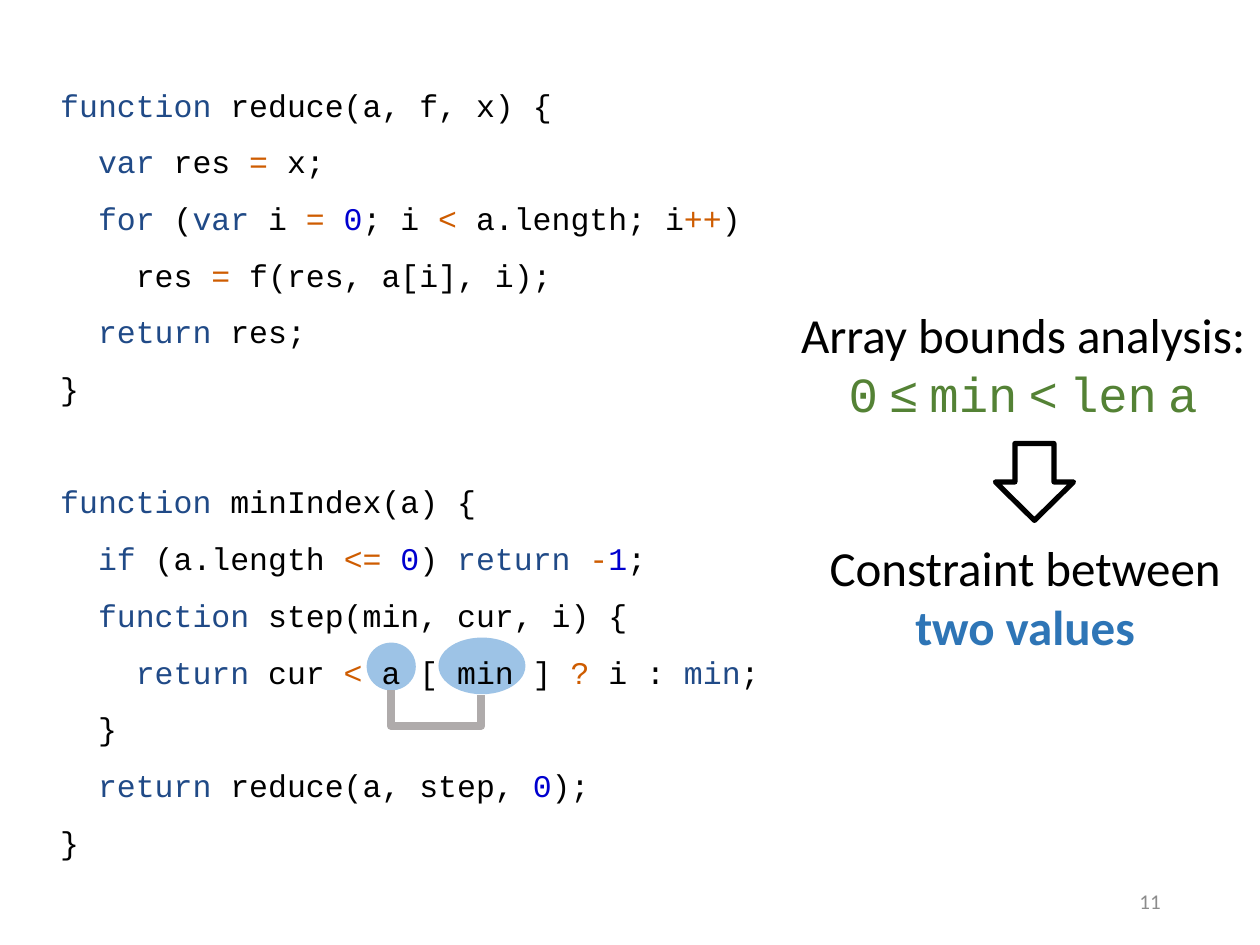
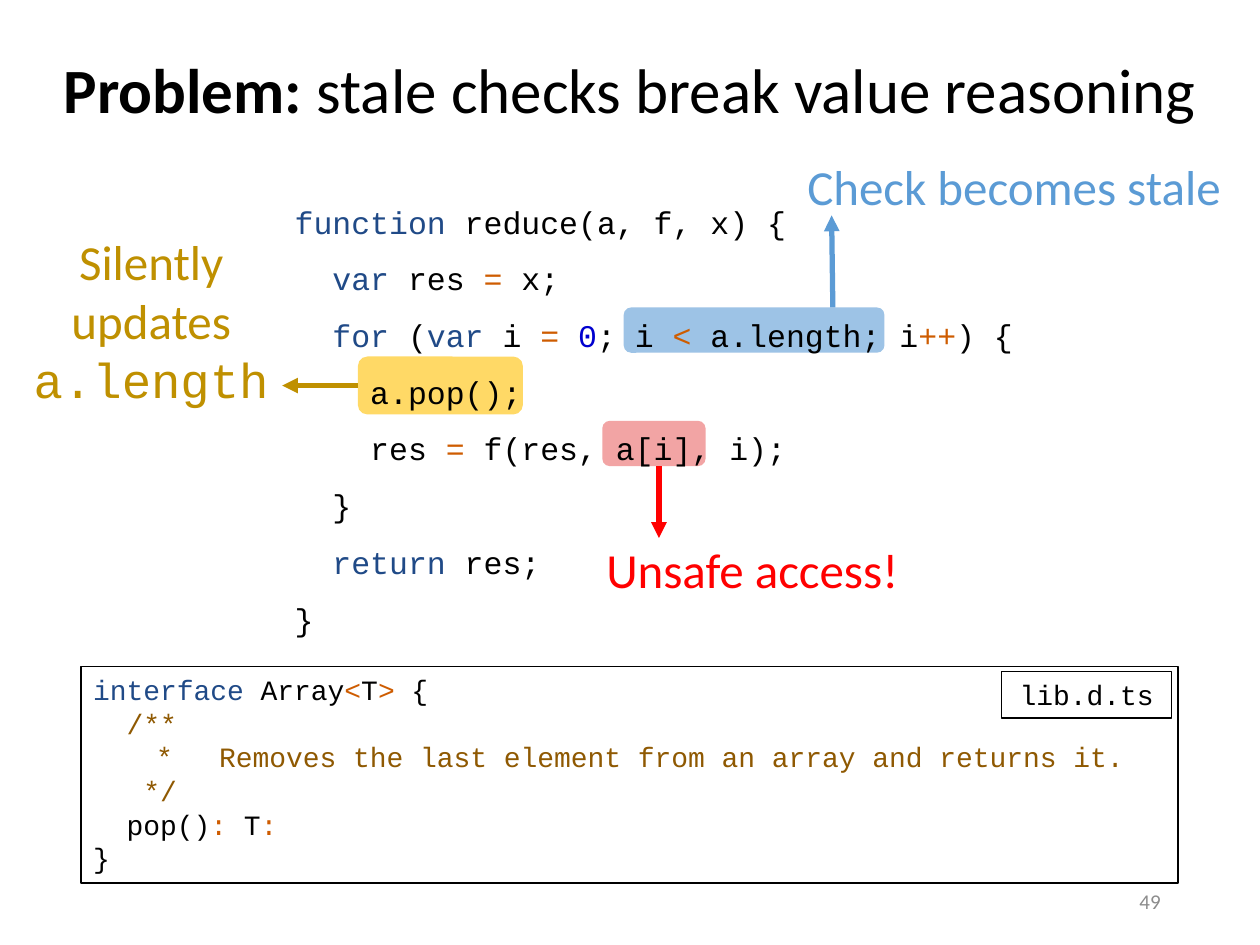
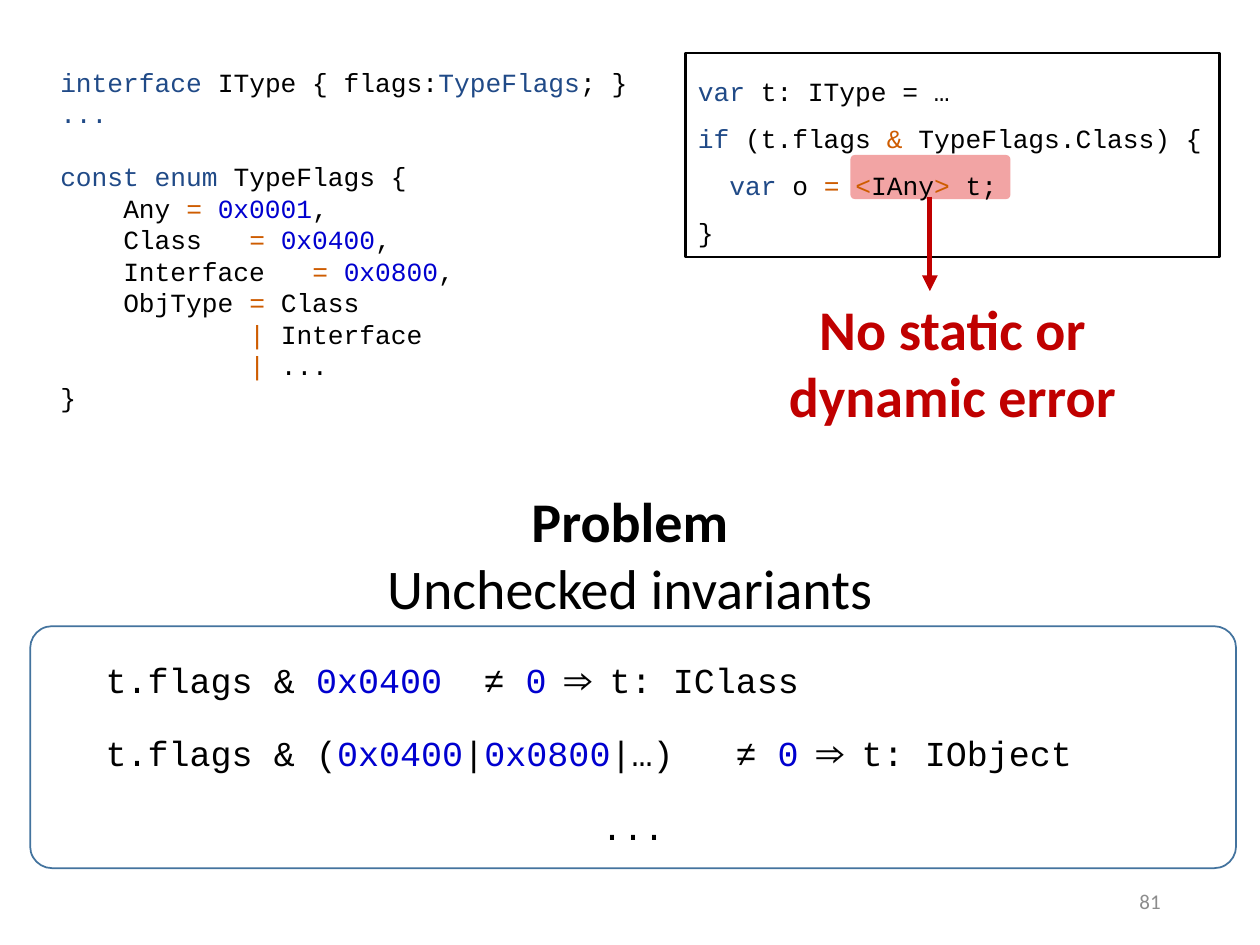
from pptx import Presentation
from pptx.dml.color import RGBColor as RGB
from pptx.enum.shapes import MSO_CONNECTOR as LINK, MSO_SHAPE as SHAPE
from pptx.enum.text import MSO_ANCHOR as ANCHOR, PP_ALIGN as ALIGN
from pptx.oxml.ns import qn
from pptx.util import Inches, Pt
from lxml.etree import SubElement as sub

SANS, MONO = "Calibri", "Courier New"
BLACK = RGB(0x00, 0x00, 0x00)
GRAY = RGB(0x8C, 0x8C, 0x8C)
SILVER = RGB(0xAF, 0xAB, 0xAB)
SKY = RGB(0x9D, 0xC3, 0xE6)
BLUE = RGB(0x5B, 0x9B, 0xD5)
DEEP = RGB(0x2E, 0x75, 0xB6)
STEEL = RGB(0x43, 0x73, 0x9E)
GREEN = RGB(0x54, 0x82, 0x35)
YELLOW = RGB(0xFF, 0xD9, 0x66)
GOLD = RGB(0xBF, 0x90, 0x00)
PINK = RGB(0xF2, 0xA4, 0xA4)
RED = RGB(0xFF, 0x00, 0x00)
DARK = RGB(0xC0, 0x00, 0x00)
INK = {
    "k": RGB(0x20, 0x4A, 0x87),
    "o": RGB(0xCE, 0x5C, 0x00),
    "n": RGB(0x00, 0x00, 0xCF),
    "c": RGB(0x8F, 0x59, 0x02),
}

LOOP = "~k:for~ (~k:var ~i ~o:= ~~n:0~; i ~o:< ~a.length; i~o:++~)"
HEAD = [(0, "~k:function~ reduce(a, f, x) {"), (2, "~k:var~ res ~o:=~ x;")]
CALL = (4, "res ~o:=~ f(res, a[i], i);")
TAIL = [(2, "~k:return~ res;"), (0, "}")]
REDUCE = [*HEAD, (2, LOOP), CALL, *TAIL]
STALE = [*HEAD, (2, LOOP + " {"), (4, "a.pop();"), CALL, (2, "}"), *TAIL]
INDEX = [
    (0, "~k:function ~minIndex(a) {"),
    (2, "~k:if~ (a.length ~o:<= ~~n:0~) ~k:return ~~o:-~~n:1~;"),
    (2, "~k:function~ step(min, cur, i) {"),
    (4, "~k:return~ cur ~o:<~ a [ min ] ~o:? ~i : ~k:min~;"),
    (2, "}"),
    (2, "~k:return~ reduce(a, step, ~n:0~);"),
    (0, "}"),
]
ARRAY = [
    (0, "~k:interface ~Array~o:<~T~o:>~ {"),
    (2, "~c:/**~"),
    (0, "~c:\t*\tRemoves the last element from an array and returns it.~"),
    (3, "~c:*/~"),
    (2, "pop()~o::~ T~o::~"),
    (0, "}"),
]
ITYPE = [(0, "~k:interface ~IType { flags:~k:TypeFlags~; }"), (0, "~k:...~")]
FLAGS = [
    (0, "~k:const enum ~TypeFlags {"),
    *[(0, f"\t{name}\t~o:= ~~n:{value}~,") for name, value in
      [("Any", "0x0001"), ("Class", "0x0400"), ("Interface", "0x0800")]],
    (0, "\tObjType\t~o:=~ Class"),
    (12, "~o:|~ Interface"),
    (12, "~o:|~ ..."),
    (0, "}"),
]
CAST = [
    (0, "~k:var ~t: IType = …"),
    (0, "~k:if ~(t.flags ~o:& ~TypeFlags.Class) {"),
    (2, "~k:var ~o ~o:= <~IAny~o:> ~t;"),
    (0, "}"),
]
RULES = [
    "\tt.flags & ~n:0x0400~\t≠ ~n:0 ~⇒ t: IClass",
    "\tt.flags & (~n:0x0400~|~n:0x0800~|…)\t≠ ~n:0 ~⇒ t: IObject",
    "...",
]


def area(box):
    """Turn a box in inches into lengths."""
    return [Inches(n) for n in box]


def text_box(slide, box, wrap=True):
    """Add an empty text box."""
    shape = slide.shapes.add_textbox(*area(box))
    shape.text_frame.word_wrap = wrap
    return shape


def panel(slide, box, kind=SHAPE.RECTANGLE, fill=None, line=None, width=1, adj=None):
    """Add a flat preset shape."""
    shape = slide.shapes.add_shape(kind, *area(box))
    shape.shadow.inherit = False
    if fill is None:
        shape.fill.background()
    else:
        shape.fill.solid()
        shape.fill.fore_color.rgb = fill
    if line is None:
        shape.line.fill.background()
    else:
        shape.line.color.rgb = line
        shape.line.width = Pt(width)
    if adj is not None:
        shape.adjustments[0] = adj
    shape.text_frame.word_wrap = True
    shape.text_frame.vertical_anchor = ANCHOR.TOP
    return shape


def add_run(para, text, size, color, font=SANS, bold=False):
    """Add one styled run."""
    run = para.add_run()
    run.text = text
    run.font.size = Pt(size)
    run.font.name = font
    run.font.bold = bold
    run.font.color.rgb = color


def next_para(frame, align=ALIGN.LEFT):
    """Give the first empty paragraph, or a new one."""
    para = frame.paragraphs[0]
    if para.runs:
        para = frame.add_paragraph()
    para.alignment = align
    return para


def label(slide, box, lines, size, color, align=ALIGN.CENTER, wrap=True):
    """Add plain lines, each a list of (text, options) runs."""
    frame = text_box(slide, box, wrap).text_frame
    for line in lines:
        para = next_para(frame, align)
        for text, look in line:
            add_run(para, text, size, **{"color": color, **look})
    return frame


def code(shape, lines, size, lead=1.0, stops=(), align=ALIGN.LEFT, gap=0):
    """Add code lines given as (indent, marked text)."""
    step = Pt(size * 0.6)
    for row, (depth, line) in enumerate(lines):
        para = next_para(shape.text_frame, align)
        para.line_spacing = lead
        if row == 0 and gap:
            para.space_before = Pt(gap)
        props = para._p.get_or_add_pPr()
        props.set("marL", str(depth * step))
        props.set("indent", "0")
        if "\t" in line:
            tabs = sub(props, qn("a:tabLst"))
            for col in stops:
                sub(tabs, qn("a:tab"), pos=str(col * step), algn="l")
        for n, part in enumerate(line.split("~")):
            key, text = part.split(":", 1) if n % 2 else ("", part)
            if text:
                add_run(para, text, size, INK.get(key, BLACK), MONO)


def link(slide, start, end, color, width=3, kind=LINK.STRAIGHT):
    """Add a flat connector."""
    line = slide.shapes.add_connector(kind, *area((*start, *end)))
    line.line.color.rgb = color
    line.line.width = Pt(width)
    sub(line._element.spPr, qn("a:effectLst"))
    return line


def arrow(slide, start, end, color):
    """Add a line with a triangle at its end."""
    line = link(slide, start, end, color)
    sub(line.line._get_or_add_ln(), qn("a:tailEnd"), type="triangle")


def bracket(slide, box, drop):
    """Add a bent line that dips below two marks."""
    left, top, wide, high = box
    x, y = left + (wide - high) / 2, top + (high - wide) / 2
    line = link(slide, (x, y), (x + high, y + wide), SILVER, 4.5, LINK.ELBOW)
    props = line._element.spPr
    frame = props.find(qn("a:xfrm"))
    frame.set("rot", "16200000")
    frame.set("flipH", "1")
    guides = props.find(qn("a:prstGeom")).get_or_add_avLst()
    sub(guides, qn("a:gd"), name="adj1", fmla=f"val {round(drop / high * 100000)}")


def footer(slide, number):
    """Add the slide number."""
    frame = label(slide, (7.06, 6.95, 2.25, 0.4), [[(number, {})]], 12, GRAY, ALIGN.RIGHT)
    frame.vertical_anchor = ANCHOR.MIDDLE


def bounds(slide):
    """Show the array bounds analysis."""
    panel(slide, (2.91, 5.1, 0.39, 0.38), SHAPE.OVAL, SKY)
    panel(slide, (3.48, 5.06, 0.69, 0.45), SHAPE.OVAL, SKY)
    bracket(slide, (3.1, 5.48, 0.72, 0.04), 0.28)
    shape = text_box(slide, (0.38, 0.48, 5.86, 6.46))
    code(shape, REDUCE, 18, 1.5)
    code(shape, INDEX, 18, 1.5, gap=32.4)
    goal = [("0", {"color": GREEN, "font": MONO})]
    for word in "≤ min < len a".split():
        goal += [(" ", {}), (word, {"color": GREEN, "font": MONO})]
    label(slide, (6.24, 2.37, 3.76, 1.04), [[("Array bounds analysis:", {})], goal], 28, BLACK)
    pair = [("Constraint between ", {}), ("two values", {"color": DEEP, "bold": True})]
    label(slide, (6.24, 4.22, 3.79, 1.04), [pair], 28, BLACK)
    panel(slide, (7.9, 3.52, 0.62, 0.61), SHAPE.DOWN_ARROW, line=BLACK, width=3)


def stale(slide):
    """Show how a stale check breaks reasoning."""
    for box, fill in [((4.78, 3.34, 0.82, 0.36), PINK), ((4.95, 2.44, 2.07, 0.36), SKY),
                      ((2.84, 2.83, 1.31, 0.46), YELLOW)]:
        panel(slide, box, SHAPE.ROUNDED_RECTANGLE, fill)
    title = [("Problem: ", {"bold": True}), ("stale checks break value reasoning", {})]
    label(slide, (0, 0.35, 10, 0.71), [title], 36, BLACK)
    notes = [[("Silently", {})], [("updates", {})], [("a.length", {"font": MONO})]]
    label(slide, (0.16, 1.79, 2.08, 1.51), notes, 28, GOLD, wrap=False)
    code(panel(slide, (0.64, 5.29, 8.71, 1.72), line=BLACK), ARRAY, 16, stops=(3, 6))
    tag = panel(slide, (7.95, 5.33, 1.35, 0.37), line=BLACK, width=0.75)
    code(tag, [(0, "lib.d.ts")], 16, align=ALIGN.CENTER)
    code(text_box(slide, (2.24, 1.41, 5.93, 3.74)), STALE, 18, 1.5)
    label(slide, (6.31, 1.19, 3.53, 0.57), [[("Check becomes stale", {})]], 28, BLUE,
          ALIGN.LEFT, False)
    label(slide, (4.53, 4.23, 2.88, 0.57), [[("Unsafe access!", {})]], 28, RED)
    arrow(slide, (2.84, 3.06), (2.24, 3.06), GOLD)
    arrow(slide, (6.61, 2.44), (6.6, 1.71), BLUE)
    arrow(slide, (5.23, 3.7), (5.23, 4.27), RED)


def rules(slide, box):
    """Show the flag invariants in a rounded frame."""
    left, top, wide, high = box
    for row, line in enumerate(RULES):
        shape = text_box(slide, (left, top + 0.21 + row * 0.58, wide, 0.44))
        align = ALIGN.LEFT if "\t" in line else ALIGN.CENTER
        code(shape, [(0, line)], 20, stops=(6, 34), align=align)
    panel(slide, box, SHAPE.ROUNDED_RECTANGLE, line=STEEL, adj=0.09)


def flags(slide):
    """Show the unchecked invariants."""
    rules(slide, (0.24, 4.97, 9.57, 1.92))
    panel(slide, (6.75, 1.23, 1.27, 0.35), SHAPE.ROUNDED_RECTANGLE, PINK, adj=0.1)
    shape = text_box(slide, (0.38, 0.35, 5.81, 3))
    code(shape, ITYPE, 15)
    shape.text_frame.paragraphs[0].line_spacing = 1.5
    code(shape, FLAGS, 15, stops=(2, 12), gap=18)
    code(panel(slide, (5.44, 0.42, 4.24, 1.62), line=BLACK, width=1.5), CAST, 15, 1.5)
    arrow(slide, (7.38, 1.56), (7.38, 2.31), DARK)
    bold = {"bold": True}
    label(slide, (5.44, 2.29, 4.24, 1.18),
          [[("No static or", bold)], [("dynamic error", bold)]], 32, DARK)
    label(slide, (0, 3.81, 10, 1.18),
          [[("Problem", bold)], [("Unchecked invariants", {})]], 32, BLACK)


def main():
    """Build the deck."""
    deck = Presentation()
    deck.slide_width, deck.slide_height = Inches(10), Inches(7.5)
    for build, number in [(bounds, "11"), (stale, "49"), (flags, "81")]:
        slide = deck.slides.add_slide(deck.slide_layouts[6])
        build(slide)
        footer(slide, number)
    deck.save("out.pptx")


if __name__ == "__main__":
    main()
